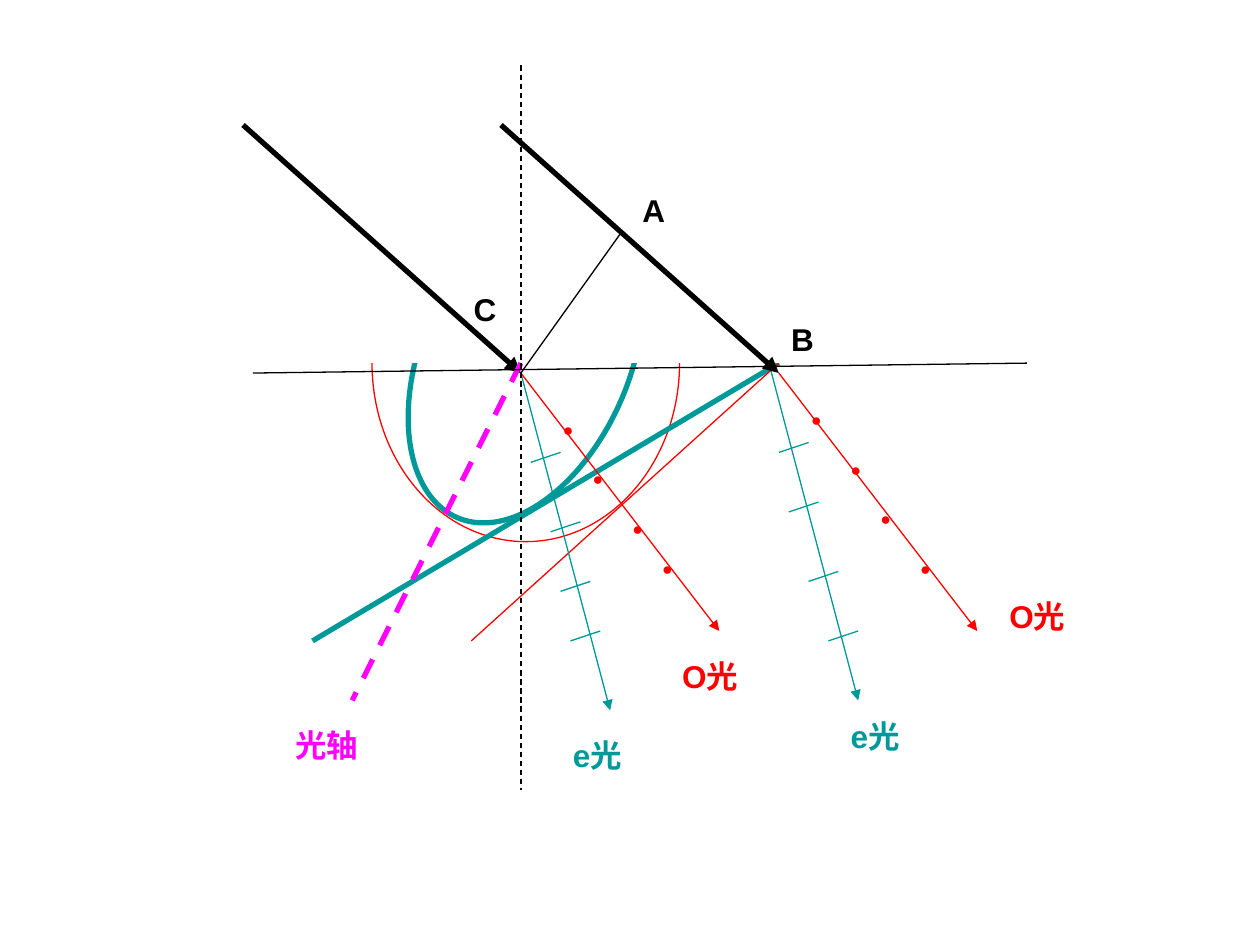
from dataclasses import dataclass

from lxml import etree
from pptx import Presentation
from pptx.dml.color import RGBColor
from pptx.enum.dml import MSO_LINE
from pptx.enum.shapes import MSO_CONNECTOR, MSO_SHAPE
from pptx.enum.text import MSO_AUTO_SIZE
from pptx.oxml.ns import qn
from pptx.util import Cm, Pt

STRAIGHT = MSO_CONNECTOR.STRAIGHT
OVAL = MSO_SHAPE.OVAL
RECTANGLE = MSO_SHAPE.RECTANGLE
DASH = MSO_LINE.DASH
FIT_SHAPE = MSO_AUTO_SIZE.SHAPE_TO_FIT_TEXT


@dataclass(frozen=True)
class Theme:
    font: str = "Arial"
    ink: RGBColor = RGBColor(0, 0, 0)
    paper: RGBColor = RGBColor(255, 255, 255)
    ordinary: RGBColor = RGBColor(255, 0, 0)
    extraordinary: RGBColor = RGBColor(0, 0x99, 0x99)
    axis: RGBColor = RGBColor(255, 0, 255)
    label_size: Pt = Pt(18)
    dot_size: Pt = Pt(10)
    thin: Pt = Pt(0.75)
    thick: Pt = Pt(3)


THEME = Theme()


@dataclass(frozen=True)
class Box:
    """A region in centimetres; points inside it count from its top left."""
    left: float
    top: float
    width: float
    height: float

    def at(self, x, y):
        return Cm(self.left + x), Cm(self.top + y)


def add_line(page, box, start, end, color, width=THEME.thin, dash=None, arrow=False):
    line = page.shapes.add_connector(STRAIGHT, *box.at(*start), *box.at(*end))
    line.line.color.rgb = color
    line.line.width = width
    if dash:
        line.line.dash_style = dash
    if arrow:
        etree.SubElement(line.line._get_or_add_ln(), qn("a:tailEnd"), type="triangle")
    etree.SubElement(line._element.spPr, qn("a:effectLst"))


def add_outline(page, box, preset, place, size, color, width=THEME.thin, fill=None):
    shape = page.shapes.add_shape(preset, *box.at(*place), Cm(size[0]), Cm(size[1]))
    shape.shadow.inherit = False
    if fill is None:
        shape.fill.background()
    else:
        shape.fill.solid()
        shape.fill.fore_color.rgb = fill
    shape.line.color.rgb = color
    shape.line.width = width
    return shape


def add_text(page, box, text, place, size, color, points=THEME.label_size,
             bold=True, wrap=False):
    label = page.shapes.add_textbox(*box.at(*place), Cm(size[0]), Cm(size[1]))
    frame = label.text_frame
    frame.word_wrap = wrap
    frame.auto_size = FIT_SHAPE
    para = frame.paragraphs[0]
    para.text = text
    para.font.name = THEME.font
    para.font.size = points
    para.font.bold = bold
    para.font.color.rgb = color


def draw_wavefronts(page, box):
    """Both wavelets, their tangents from B, and the mask over the upper halves."""
    add_outline(page, box, OVAL, (1.2, 0.6), (6.2, 7.2), THEME.ordinary)
    wavelet = add_outline(page, box, OVAL, (0.8, 2), (7, 4.2),
                          THEME.extraordinary, THEME.thick)
    wavelet.rotation = 113.2
    tangent_start = (box.width - 0.6, 4.2)
    add_line(page, box, (0, box.height), tangent_start, THEME.extraordinary, THEME.thick)
    add_line(page, box, tangent_start, (3.2, box.height), THEME.ordinary)
    add_outline(page, box, RECTANGLE, (-0.6, 0), (14.6, 4.19), THEME.paper,
                fill=THEME.paper)


def draw_o_ray(page, box, dots, label):
    add_line(page, box, (0, 0), (box.width, box.height), THEME.ordinary, arrow=True)
    for dot in dots:
        add_text(page, box, "●", dot, (0.86, 0.69), THEME.ordinary, THEME.dot_size,
                 bold=False)
    add_text(page, box, "O光", label, (2.6, 1.02), THEME.ordinary, wrap=True)


def draw_e_ray(page, box, ticks, label):
    add_line(page, box, (0, 0), (box.width, box.height), THEME.extraordinary, arrow=True)
    for x, y in ticks:
        add_line(page, box, (x, y), (x + 0.6, y - 0.2), THEME.extraordinary)
    add_text(page, box, "e光", label, (2.6, 1.02), THEME.extraordinary, wrap=True)


def draw_incident_beam(page, box):
    """Two parallel rays that end at C and B, with the wavefront from C to A."""
    ray_width, spacing = 5.6, box.width - 5.6
    for x in (0, spacing):
        add_line(page, box, (x, 0), (x + ray_width, box.height), THEME.ink,
                 THEME.thick, arrow=True)
    add_line(page, box, (ray_width, box.height), (7.6, 2.2), THEME.ink)
    for name, place in (("A", (7.8, 1.2)), ("B", (10.8, 3.8)), ("C", (4.4, 3.2))):
        add_text(page, box, name, place, (0.97, 1.02), THEME.ink)


def draw_crystal_lines(page, box):
    """Optic axis, crystal surface and the normal at C."""
    normal_x, surface_y = 5.4, 6
    add_line(page, box, (normal_x, surface_y), (2, 12.8), THEME.axis, THEME.thick, DASH)
    add_text(page, box, "光轴", (0.6, 13.2), (1.78, 1.02), THEME.axis)
    add_line(page, box, (0, surface_y + 0.2), (box.width, surface_y), THEME.ink)
    add_line(page, box, (normal_x, 0), (normal_x, box.height), THEME.ink, dash=DASH)


def main():
    deck = Presentation()
    deck.slide_width, deck.slide_height = Cm(25.4), Cm(19.05)
    page = deck.slides.add_slide(deck.slide_layouts[6])

    draw_wavefronts(page, Box(6.3, 3.12, 10, 9.8))
    draw_e_ray(page, Box(10.5, 7.52, 1.8, 6.8),
               [(0.2, 1.8), (0.6, 3.2), (0.8, 4.4), (1, 5.4)], (0.8, 7.2))
    draw_e_ray(page, Box(15.5, 7.32, 1.8, 6.8),
               [(0.2, 1.8), (0.4, 3), (0.8, 4.4), (1.2, 5.6)], (1.4, 7))
    draw_o_ray(page, Box(10.5, 7.52, 4, 5.2),
               [(0.6, 0.8), (1.2, 1.8), (2, 2.8), (2.6, 3.6)], (3, 5.6))
    draw_o_ray(page, Box(15.7, 7.52, 4, 5.2),
               [(0.4, 0.6), (1.2, 1.6), (1.8, 2.6), (2.6, 3.6)], (4.4, 4.4))
    draw_incident_beam(page, Box(4.9, 2.52, 10.8, 5))
    draw_crystal_lines(page, Box(5.1, 1.32, 15.6, 14.6))
    deck.save("out.pptx")


if __name__ == "__main__":
    main()
